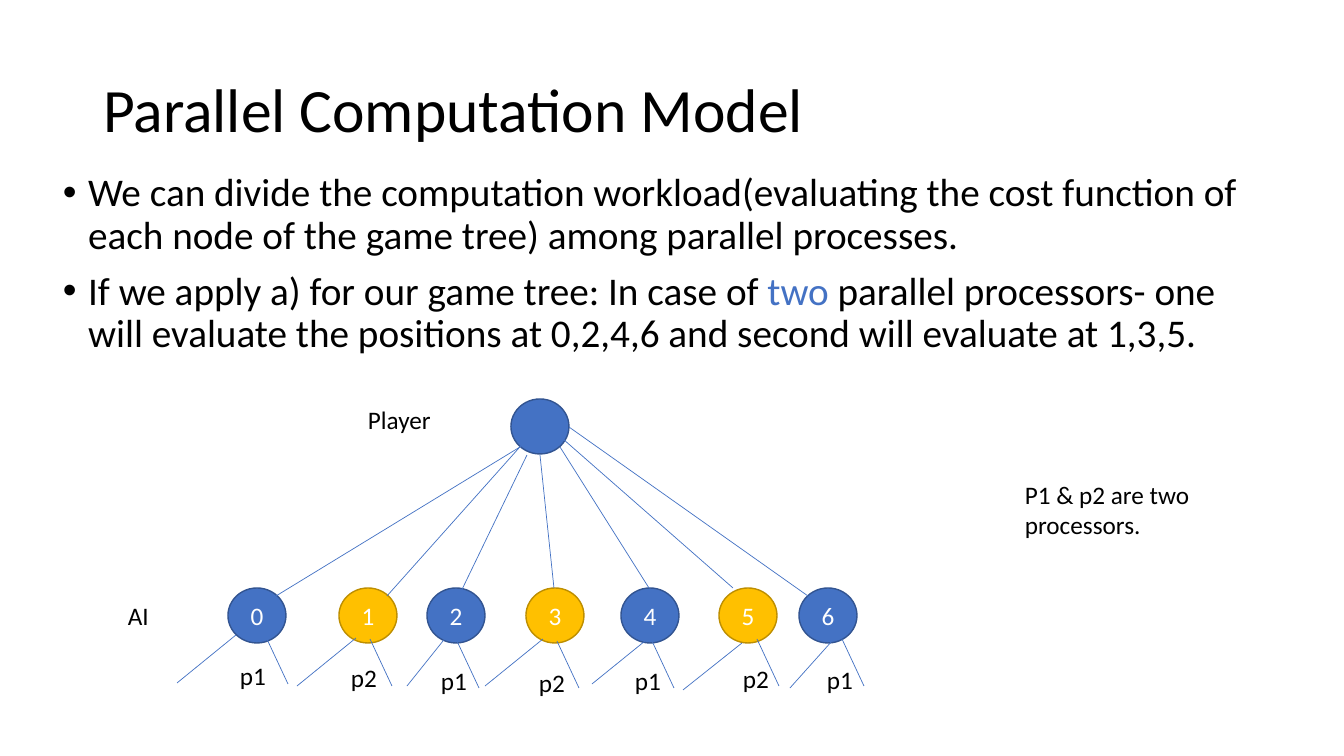
"""Build the slide on the parallel computation model of a game tree."""
from lxml.etree import SubElement
from pptx import Presentation
from pptx.dml.color import RGBColor
from pptx.enum.shapes import MSO_CONNECTOR, MSO_SHAPE
from pptx.enum.text import MSO_ANCHOR, MSO_AUTO_SIZE, PP_ALIGN
from pptx.oxml.ns import qn
from pptx.util import Emu, Pt

PIXEL = 914400 / 100.8
FONT = "Calibri"
BLACK, WHITE, BLUE = "000000", "FFFFFF", "4472C4"
PROCESSORS = [("p1", BLUE, "325491"), ("p2", "FFC000", "BD8E00")]

TITLE = "Parallel Computation Model"
BULLETS = [
    [("We can divide the computation workload(evaluating the cost function of "
      "each node of the game tree) among parallel processes.", BLACK)],
    [("If we apply a) for our game tree: In case of ", BLACK),
     ("two", BLUE),
     (" parallel processors- one will evaluate the positions at 0,2,4,6 "
      "and second will evaluate at 1,3,5.", BLACK)],
]
LABELS = [
    ("Player", (358, 399, 84, 40), False),
    ("AI", (118, 595, 41, 40), False),
    ("P1 & p2 are two processors.", (1015, 474, 198, 72), True),
]

NODE_WIDTH, NODE_HEIGHT, NODE_TOP = 58, 55, 588
ROOT = (511, 399)
RIGHT_BRANCH = (22, 47)
# left edge, spoke, left branch, right branch start, processor label
NODES = [
    (228, (520, 447, 276, 596), (236, 635, 177, 683), (266, 637), (230, 655)),
    (339, (527, 439, 387, 596), (356, 638, 297, 686), (370, 639), (341, 657)),
    (427, (527, 455, 455, 604), (447, 636, 407, 686), (457, 641), (431, 660)),
    (526, (540, 455, 554, 588), (543, 639, 485, 686), (557, 641), (529, 662)),
    (621, (560, 447, 649, 588), (650, 637, 592, 684), (652, 641), (625, 660)),
    (719, (555, 432, 733, 588), (742, 643, 683, 690), (757, 639), (733, 658)),
    (799, (569, 427, 808, 596), (833, 640, 790, 688), (842, 639), (817, 659)),
]


def px(*lengths):
    return [Emu(round(length * PIXEL)) for length in lengths]


def color(value):
    return RGBColor.from_string(value)


def style(paragraph, size, value=BLACK):
    paragraph.font.name = FONT
    paragraph.font.size = Pt(size)
    paragraph.font.color.rgb = color(value)


def add_label(text, box, wrap=False):
    frame = slide.shapes.add_textbox(*px(*box)).text_frame
    frame.word_wrap = wrap
    frame.text = text
    style(frame.paragraphs[0], 18)


def add_node(left, top, fill, outline, text=""):
    shape = slide.shapes.add_shape(
        MSO_SHAPE.OVAL, *px(left, top, NODE_WIDTH, NODE_HEIGHT))
    shape.shadow.inherit = False
    shape.fill.solid()
    shape.fill.fore_color.rgb = color(fill)
    shape.line.color.rgb = color(outline)
    shape.line.width = Pt(1)
    frame = shape.text_frame
    frame.vertical_anchor = MSO_ANCHOR.MIDDLE
    frame.text = text
    frame.paragraphs[0].alignment = PP_ALIGN.CENTER
    style(frame.paragraphs[0], 18, WHITE)


def add_line(*ends):
    line = slide.shapes.add_connector(MSO_CONNECTOR.STRAIGHT, *px(*ends))
    line.line.color.rgb = color(BLUE)
    line.line.width = Pt(0.5)
    SubElement(line._element.spPr, qn("a:effectLst"))


def add_bullets(box):
    frame = slide.shapes.add_textbox(*px(*box)).text_frame
    frame.word_wrap = True
    for index, runs in enumerate(BULLETS):
        paragraph = frame.add_paragraph() if index else frame.paragraphs[0]
        paragraph.line_spacing = 0.9
        paragraph.space_before = Pt(10)
        properties = paragraph._p.get_or_add_pPr()
        properties.set("marL", "228600")
        properties.set("indent", "-228600")
        SubElement(properties, qn("a:buFont"), typeface="Arial")
        SubElement(properties, qn("a:buChar"), char="\u2022")
        style(paragraph, 28)
        for text, value in runs:
            run = paragraph.add_run()
            run.text = text
            run.font.color.rgb = color(value)


presentation = Presentation()
presentation.slide_width, presentation.slide_height = px(1344, 756)
slide = presentation.slides.add_slide(presentation.slide_layouts[5])

title = slide.shapes.title
title.left, title.top, title.width, title.height = px(93, 40, 1159, 146)
title.text_frame.text = TITLE
title.text_frame.vertical_anchor = MSO_ANCHOR.MIDDLE
title.text_frame.auto_size = MSO_AUTO_SIZE.NONE
heading = title.text_frame.paragraphs[0]
heading.alignment = PP_ALIGN.LEFT
heading.line_spacing = 0.9
style(heading, 44)

add_bullets((53, 168, 1198, 513))
add_node(*ROOT, *PROCESSORS[0][1:])
for number, (left, spoke, left_branch, (x, y), label) in enumerate(NODES):
    processor, fill, outline = PROCESSORS[number % 2]
    add_node(left, NODE_TOP, fill, outline, str(number))
    add_line(*spoke)
    add_line(*left_branch)
    add_line(x, y, x + RIGHT_BRANCH[0], y + RIGHT_BRANCH[1])
    add_label(processor, (*label, 46, 40))
for text, box, wrap in LABELS:
    add_label(text, box, wrap)

presentation.save("out.pptx")
